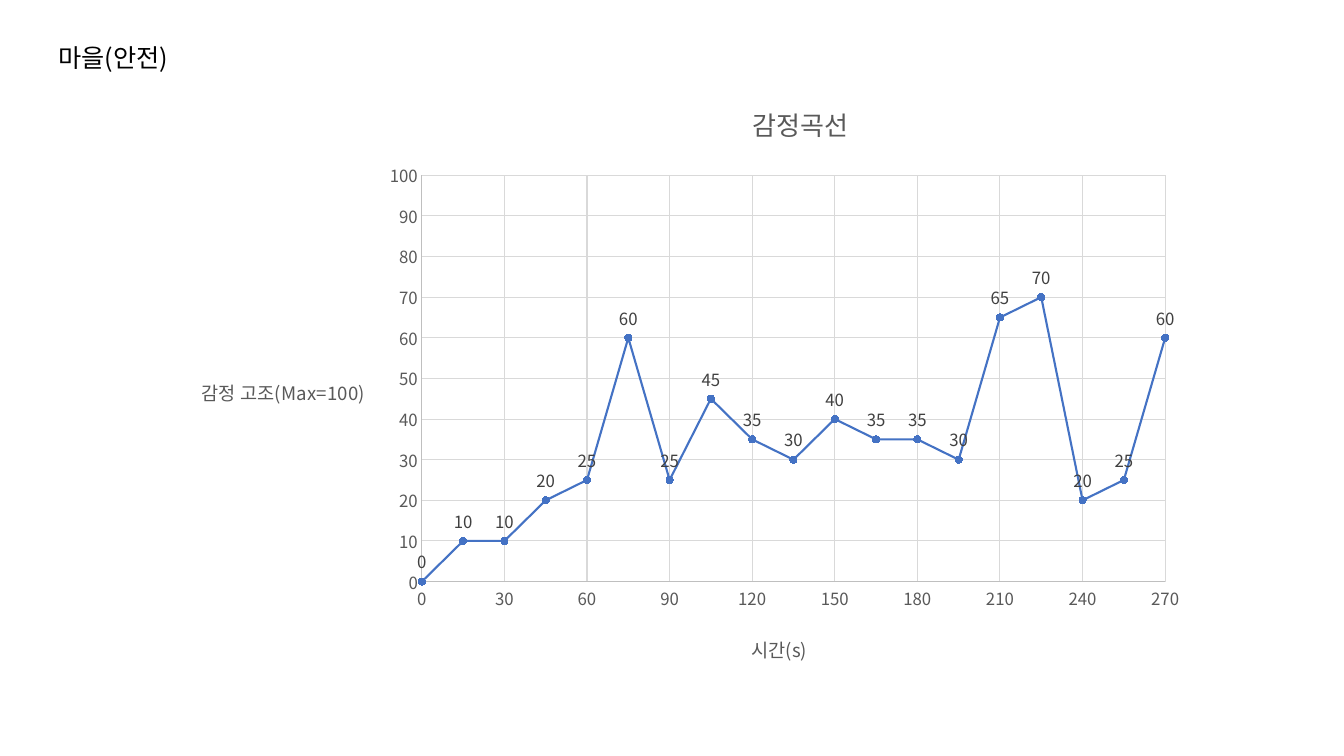
"""Build a slide with the emotion curve of the village (safety) scene."""
import pptx
import pptx.chart.data
import pptx.chart.datalabel
import pptx.dml.color
import pptx.enum.chart
import pptx.oxml
import pptx.oxml.ns
import pptx.util
from pptx.util import Inches

FONT = "Noto Sans CJK KR"
BLACK = pptx.dml.color.RGBColor(0x00, 0x00, 0x00)
DARK_GRAY = pptx.dml.color.RGBColor(0x40, 0x40, 0x40)
TEXT_GRAY = pptx.dml.color.RGBColor(0x59, 0x59, 0x59)
AXIS_GRAY = pptx.dml.color.RGBColor(0xBF, 0xBF, 0xBF)
GRID_GRAY = pptx.dml.color.RGBColor(0xD9, 0xD9, 0xD9)
BLUE = pptx.dml.color.RGBColor(0x44, 0x72, 0xC4)
EMOTIONS = [0, 10, 10, 20, 25, 60, 25, 45, 35, 30, 40, 35, 35, 30, 65, 70, 20, 25, 60]
SECONDS_PER_STEP = 15
qn = pptx.oxml.ns.qn


def style_font(font, size, color):
    font.name = FONT
    font.size = pptx.util.Pt(size)
    font.bold = False
    font.color.rgb = color


def place(element, index, inner=False, **fractions):
    for old_layout in element.findall(qn("c:layout")):
        element.remove(old_layout)
    target = '<c:layoutTarget val="inner"/>' if inner else ""
    modes = "".join(f'<c:{key}Mode val="edge"/>' for key in ("x", "y"))
    values = "".join(f'<c:{key} val="{value}"/>' for key, value in fractions.items())
    element.insert(index, pptx.oxml.parse_xml(
        f'<c:layout {pptx.oxml.ns.nsdecls("c")}><c:manualLayout>'
        f"{target}{modes}{values}</c:manualLayout></c:layout>"))


presentation = pptx.Presentation()
presentation.slide_width = Inches(13.33)
presentation.slide_height = Inches(7.5)
slide = presentation.slides.add_slide(presentation.slide_layouts[6])

curve_data = pptx.chart.data.XyChartData()
curve_points = curve_data.add_series("Series 1")
for step, emotion in enumerate(EMOTIONS):
    curve_points.add_data_point(step * SECONDS_PER_STEP, emotion)

chart = slide.shapes.add_chart(
    pptx.enum.chart.XL_CHART_TYPE.XY_SCATTER_SMOOTH,
    Inches(1.76), Inches(0.79), Inches(10.1), Inches(5.93), curve_data).chart
chart.has_legend = False
chart.has_title = True
style_font(chart.font, 10, BLACK)
chart.plots[0].vary_by_categories = False
place(chart.plots[0]._element.getparent(), 0, inner=True, x=0.24, y=0.16, w=0.73, h=0.68)

time_axis, emotion_axis = chart.category_axis, chart.value_axis
for axis, maximum, unit in ((time_axis, 270, 30), (emotion_axis, 100, 10)):
    axis.minimum_scale = 0
    axis.maximum_scale = maximum
    axis.major_unit = unit
    axis.major_tick_mark = pptx.enum.chart.XL_TICK_MARK.NONE
    axis.minor_tick_mark = pptx.enum.chart.XL_TICK_MARK.NONE
    axis.has_major_gridlines = True
    style_font(axis.tick_labels.font, 12, TEXT_GRAY)
    for line, color in ((axis.format.line, AXIS_GRAY),
                        (axis.major_gridlines.format.line, GRID_GRAY)):
        line.color.rgb = color
        line.width = pptx.util.Pt(0.75)

for title, text, size, x, y in (
        (chart.chart_title, "감정곡선", 18.6, 0.56, 0.03),
        (time_axis.axis_title, "시간(s)", 13.3, 0.56, 0.92),
        (emotion_axis.axis_title, "감정 고조(Max=100)", 13.3, 0.02, 0.49)):
    title.text_frame.text = text
    title.text_frame._txBody.bodyPr.set("rot", "0")
    style_font(title.text_frame.paragraphs[0].font, size, TEXT_GRAY)
    place(title._element, 1, x=x, y=y)

curve = chart.plots[0].series[0]
curve.format.line.color.rgb = BLUE
curve.format.line.width = pptx.util.Pt(1.5)
curve.marker.style = pptx.enum.chart.XL_MARKER_STYLE.CIRCLE
curve.marker.size = 5
curve.marker.format.fill.solid()
curve.marker.format.fill.fore_color.rgb = BLUE
curve.marker.format.line.color.rgb = BLUE
labels = pptx.chart.datalabel.DataLabels(curve._element.get_or_add_dLbls())
labels.show_value = True
labels.position = pptx.enum.chart.XL_LABEL_POSITION.ABOVE
style_font(labels.font, 12, DARK_GRAY)

heading = slide.shapes.add_textbox(Inches(0.48), Inches(0.37), Inches(2.34), Inches(0.4))
heading.text_frame.word_wrap = True
heading.text_frame.text = "마을(안전)"
style_font(heading.text_frame.paragraphs[0].font, 18, BLACK)

for root in (slide._element, chart._chartSpace):
    for latin in list(root.iter(qn("a:latin"))):
        latin.addnext(pptx.oxml.parse_xml(
            f'<a:ea {pptx.oxml.ns.nsdecls("a")} typeface="{FONT}"/>'))

presentation.save("out.pptx")
